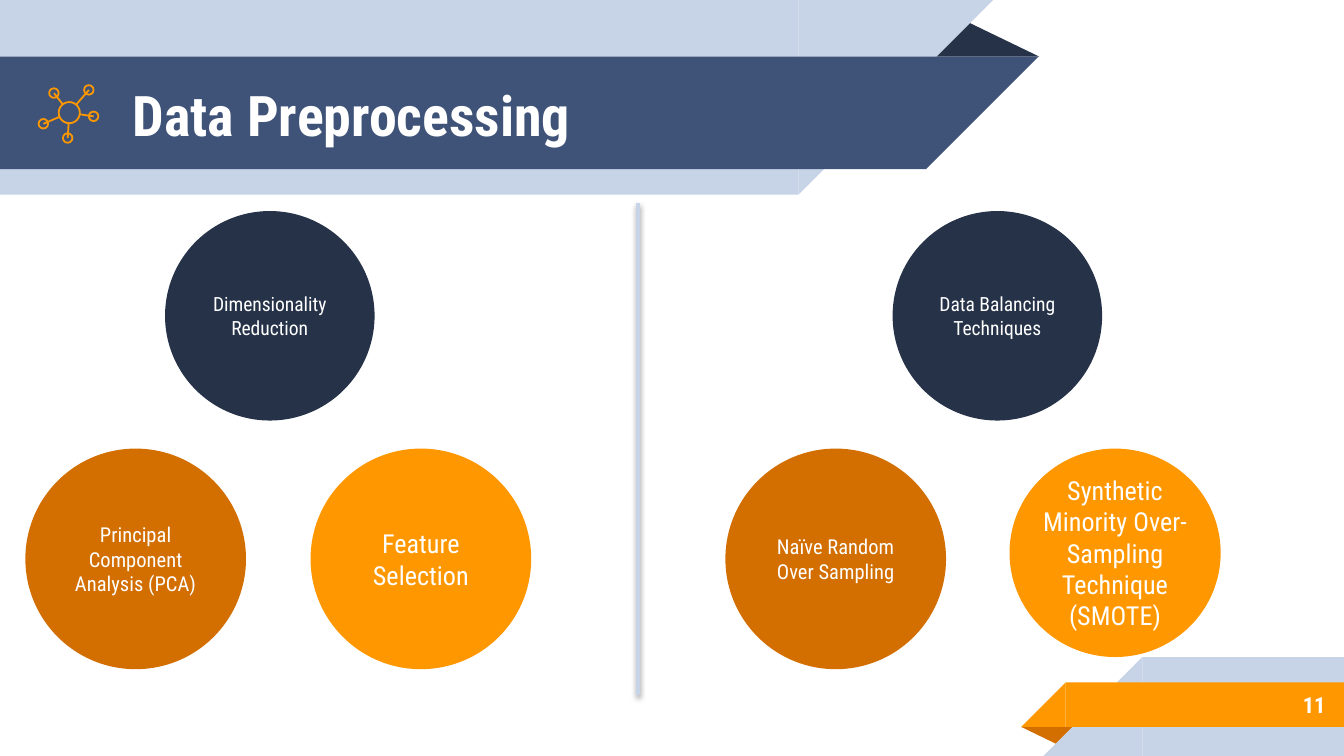
import math
import pptx
import pptx.util
import pptx.dml.color
import pptx.enum.shapes
import pptx.enum.text
import pptx.oxml
import pptx.oxml.ns

Cm, Pt = pptx.util.Cm, pptx.util.Pt
MSO = pptx.enum.shapes.MSO_SHAPE
ALIGN = pptx.enum.text.PP_ALIGN
NAVY, BLUE, PALE = "263248", "3F5378", "C7D3E6"
ORANGE, RUST, WHITE = "FF9800", "D26F00", "FFFFFF"


def rgb(value):
    return pptx.dml.color.RGBColor.from_string(value)


def write(sp, text, size, bold, align, inset):
    tf = sp.text_frame
    frame = {"word_wrap": True, "auto_size": pptx.enum.text.MSO_AUTO_SIZE.NONE,
             "vertical_anchor": pptx.enum.text.MSO_ANCHOR.MIDDLE,
             "margin_left": Cm(inset), "margin_right": Cm(inset),
             "margin_top": Cm(inset), "margin_bottom": Cm(inset)}
    for name, value in frame.items():
        setattr(tf, name, value)
    p = tf.paragraphs[0]
    p.alignment = align
    r = p.add_run()
    r.text = text
    for name, value in {"name": "Roboto Condensed", "size": Pt(size), "bold": bold}.items():
        setattr(r.font, name, value)
    r.font.color.rgb = rgb(WHITE)


prs = pptx.Presentation()
prs.slide_width, prs.slide_height = Cm(25.4), Cm(14.29)
s = prs.slides.add_slide(prs.slide_layouts[5])

bands = [
    (MSO.ISOSCELES_TRIANGLE, 17.48, 0.36, 2.16, 0.71, 0, NAVY),
    (MSO.RECTANGLE, 0, 0, 15.09, 3.68, 0, PALE),
    (MSO.RIGHT_TRIANGLE, 15.09, 0, 3.68, 3.68, 90, PALE),
    (MSO.RECTANGLE, 0, 1.07, 17.5, 2.13, 0, BLUE),
    (MSO.RIGHT_TRIANGLE, 17.5, 1.07, 2.13, 2.13, 90, BLUE),
    (MSO.ISOSCELES_TRIANGLE, 19.3, 13.74, 1.09, 0.36, 180, RUST),
    (MSO.RECTANGLE, 21.59, 12.42, 3.81, 1.87, 0, PALE),
    (MSO.RIGHT_TRIANGLE, 19.72, 12.42, 1.87, 1.87, 270, PALE),
    (MSO.RECTANGLE, 20.14, 12.9, 5.26, 0.84, 0, ORANGE),
    (MSO.RIGHT_TRIANGLE, 19.3, 12.9, 0.84, 0.84, 270, ORANGE),
]
for kind, x, y, w, h, turn, color in bands:
    sp = s.shapes.add_shape(kind, Cm(x), Cm(y), Cm(w), Cm(h))
    sp.shadow.inherit = False
    sp.fill.solid()
    sp.fill.fore_color.rgb = rgb(color)
    sp.line.fill.background()
    sp.rotation = turn
    if kind == MSO.ISOSCELES_TRIANGLE:
        sp.adjustments[0] = 0.32

title = s.shapes.title
for name, value in {"left": 2.26, "top": 1.09, "width": 14.6, "height": 2.13}.items():
    setattr(title, name, Cm(value))
write(title, "Data Preprocessing", 30, True, ALIGN.LEFT, 0.25)
title.element.getparent().append(title.element)

number = s.shapes.add_textbox(Cm(21.16), Cm(12.88), Cm(4.14), Cm(0.89))
write(number, "11", 12, True, ALIGN.RIGHT, 0.25)

hub_x, hub_y, hub_r, node_r = 1.31, 2.13, 0.2, 0.09
nodes = [(1.68, 1.7), (1.02, 1.76), (0.82, 2.34), (1.28, 2.61), (1.77, 2.2)]
rings = [(x, y, node_r) for x, y in nodes] + [(hub_x, hub_y, hub_r)]
for x, y, radius in rings:
    sp = s.shapes.add_shape(MSO.OVAL, Cm(x - radius), Cm(y - radius),
                            Cm(2 * radius), Cm(2 * radius))
    sp.shadow.inherit = False
    sp.fill.background()
    sp.line.color.rgb = rgb(ORANGE)
    sp.line.width = Pt(0.96)
for x, y in nodes:
    angle = math.atan2(y - hub_y, x - hub_x)
    spoke = s.shapes.add_connector(
        pptx.enum.shapes.MSO_CONNECTOR.STRAIGHT, Cm(x), Cm(y),
        Cm(hub_x + hub_r * math.cos(angle)), Cm(hub_y + hub_r * math.sin(angle)))
    spoke.line.color.rgb = rgb(ORANGE)
    spoke.line.width = Pt(0.96)
    spoke.element.spPr.append(pptx.oxml.parse_xml(
        f'<a:effectLst {pptx.oxml.ns.nsdecls("a")}/>'))

circles = [
    ("Dimensionality Reduction", 3.12, 3.99, 3.96, 3.96, NAVY, 10.5),
    ("Principal Component Analysis (PCA)", 0.48, 8.48, 4.17, 4.17, RUST, 11),
    ("Feature Selection", 5.87, 8.48, 4.17, 4.17, ORANGE, 14),
    ("Data Balancing Techniques", 16.87, 3.99, 3.96, 3.96, NAVY, 10.5),
    ("Naïve Random Over Sampling", 13.71, 8.48, 4.17, 4.17, RUST, 11),
    ("Synthetic Minority Over-Sampling Technique (SMOTE)",
     19.08, 8.48, 3.99, 3.94, ORANGE, 14),
]
for text, x, y, w, h, color, size in circles:
    sp = s.shapes.add_shape(MSO.OVAL, Cm(x), Cm(y), Cm(w), Cm(h))
    sp.shadow.inherit = False
    sp.fill.solid()
    sp.fill.fore_color.rgb = rgb(color)
    sp.line.fill.background()
    write(sp, text, size, False, ALIGN.CENTER, 0)

divider = s.shapes.add_connector(pptx.enum.shapes.MSO_CONNECTOR.STRAIGHT,
                                 Cm(12.06), Cm(3.84), Cm(12.06), Cm(13.13))
divider.line.color.rgb = rgb(PALE)
divider.line.width = Pt(2)
divider.element.spPr.append(pptx.oxml.parse_xml(
    f'<a:effectLst {pptx.oxml.ns.nsdecls("a")}>'
    f'<a:outerShdw blurRad="{Pt(3.1)}" dist="{Pt(1.6)}" dir="5400000" rotWithShape="0">'
    '<a:srgbClr val="000000"><a:alpha val="38000"/></a:srgbClr>'
    '</a:outerShdw></a:effectLst>'))

prs.save("out.pptx")
